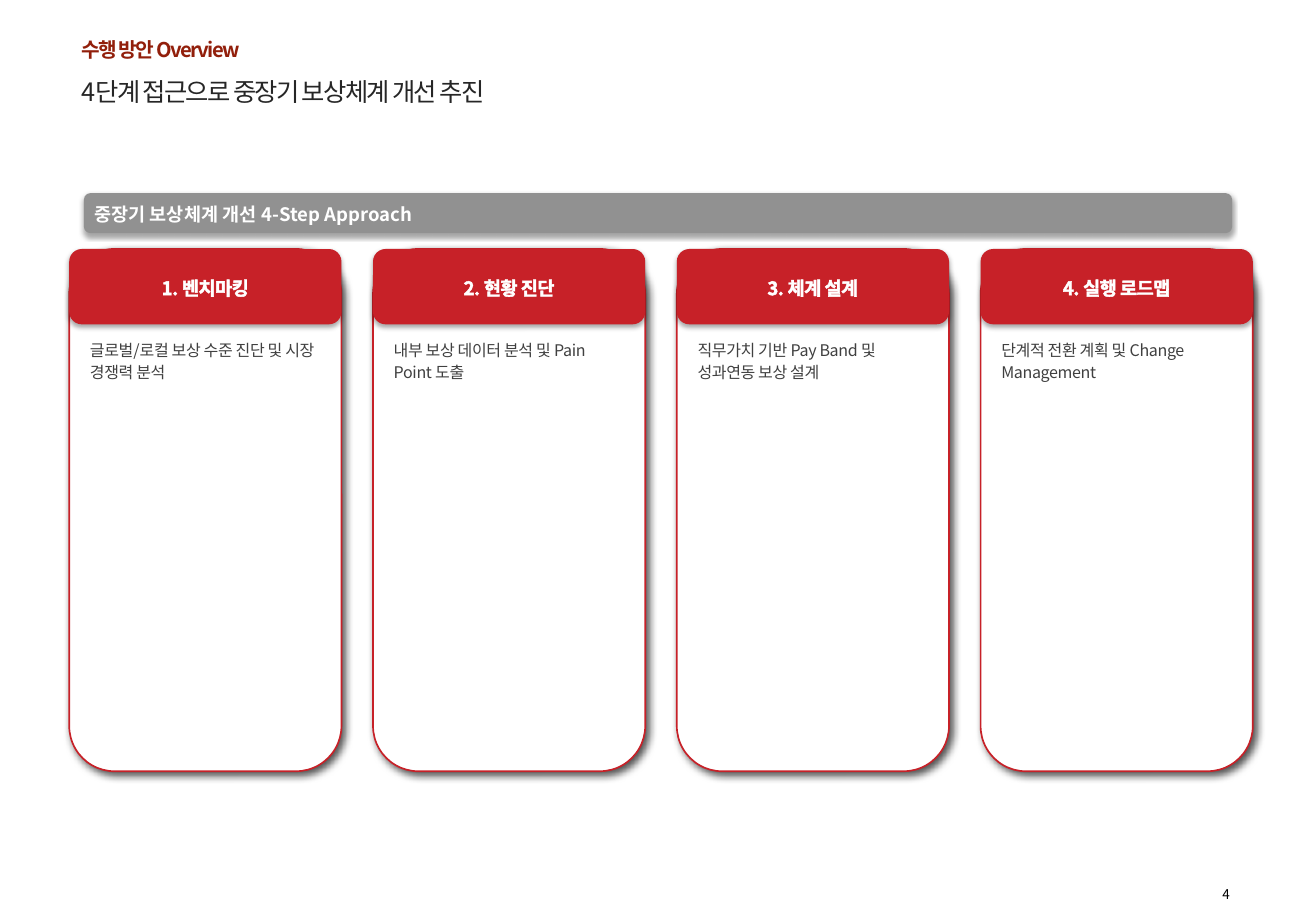
"""Build the four-step compensation overview slide."""
from dataclasses import dataclass

from lxml.etree import SubElement
from pptx import Presentation
from pptx.dml.color import RGBColor
from pptx.enum.shapes import MSO_SHAPE
from pptx.enum.text import MSO_ANCHOR, MSO_AUTO_SIZE, PP_ALIGN
from pptx.oxml.ns import qn
from pptx.util import Pt

PX = 9144


@dataclass(frozen=True)
class Theme:
    """Colours, type sizes and shadows of the slide."""
    font: str = "Noto Sans CJK KR"
    brick: str = "921F0B"
    red: str = "C72128"
    gray: str = "919191"
    white: str = "FFFFFF"
    black: str = "000000"
    ink: str = "262626"
    text: str = "404040"
    title: float = 12
    lead: float = 15
    head: float = 11
    body: float = 9.5
    page: float = 8
    soft: tuple = (35, 3.1, 1.8, 90)
    deep: tuple = (68, 5, 2.5, 45)


class Deck:
    """Style and current slide, with one method per kind of element."""

    def __init__(self, theme, width, height):
        self.t = theme
        self.prs = Presentation()
        self.prs.slide_width, self.prs.slide_height = width * PX, height * PX
        self.s = self.prs.slides.add_slide(self.prs.slide_layouts[1])

    def color(self, parent, tag, value, alpha=None):
        """Add a colour element of the given tag under parent."""
        clr = SubElement(parent, qn(tag), val=value)
        if alpha is not None:
            SubElement(clr, qn("a:alpha"), val=str(alpha * 1000))

    def set_text(self, sp, text, size, color, bold=False, spc=0, ls=1.0,
                 align=PP_ALIGN.LEFT, anchor=MSO_ANCHOR.TOP, inset=(10, 5, 10, 5),
                 wrap=True, outline=None):
        """Put one formatted paragraph into a shape."""
        tf = sp.text_frame
        left, top, right, bottom = (v * PX for v in inset)
        frame = {"margin_left": left, "margin_top": top, "margin_right": right,
                 "margin_bottom": bottom, "word_wrap": wrap,
                 "vertical_anchor": anchor, "auto_size": MSO_AUTO_SIZE.NONE}
        p = tf.paragraphs[0]
        r = p.add_run()
        r.text = text
        para = {"alignment": align, "line_spacing": ls, "space_before": Pt(0)}
        font = {"name": self.t.font, "size": Pt(size), "bold": bold}
        for obj, values in ((tf, frame), (p, para), (r.font, font)):
            for key, value in values.items():
                setattr(obj, key, value)
        r.font.color.rgb = RGBColor.from_string(color)
        rpr = r._r.get_or_add_rPr()
        rpr.set("spc", str(round(spc * 100)))
        SubElement(rpr, qn("a:ea"), typeface=self.t.font)
        if outline:
            ln = SubElement(rpr, qn("a:ln"), w=str(Pt(outline[1])))
            self.color(SubElement(ln, qn("a:solidFill")), "a:srgbClr", outline[0])
            rpr.insert(0, ln)
        return p

    def place(self, sp, x, y, w, h):
        """Move and size a shape in px."""
        for key, value in zip(("left", "top", "width", "height"), (x, y, w, h)):
            setattr(sp, key, value * PX)

    def placeholder(self, index, box, text, size, color, **fmt):
        """Fill a template placeholder without a bullet."""
        sp = self.s.placeholders[index]
        self.place(sp, *box)
        p = self.set_text(sp, text, size, color, **fmt)
        ppr = p._p.get_or_add_pPr()
        ppr.set("marL", "0")
        ppr.set("indent", "0")
        SubElement(ppr, qn("a:buNone"))

    def label(self, box, text, size, color, **fmt):
        """Add a text box."""
        sp = self.s.shapes.add_textbox(*(v * PX for v in box))
        self.set_text(sp, text, size, color, **fmt)

    def panel(self, box, fill, shadow, line=None):
        """Add a rounded rectangle with a shadow."""
        sp = self.s.shapes.add_shape(MSO_SHAPE.ROUNDED_RECTANGLE, *(v * PX for v in box))
        sp.fill.solid()
        sp.fill.fore_color.rgb = RGBColor.from_string(fill)
        if line:
            sp.line.color.rgb = RGBColor.from_string(line)
            sp.line.width = Pt(1)
        else:
            sp.line.fill.background()
        sp.shadow.inherit = False
        alpha, blur, dist, angle = shadow
        effects = sp._element.spPr.find(qn("a:effectLst"))
        outer = SubElement(effects, qn("a:outerShdw"), blurRad=str(Pt(blur)),
                           dist=str(Pt(dist)), dir=str(angle * 60000),
                           algn="ctr", rotWithShape="0")
        self.color(outer, "a:srgbClr", self.t.black, alpha)
        return sp

    def step(self, x, heading, detail):
        """Add one step column: card, header and description."""
        t = self.t
        self.panel((x, 205, 224, 430), t.white, t.deep, t.red)
        header = self.panel((x, 205, 224, 62), t.red, t.soft)
        self.set_text(header, heading, t.head, t.white, bold=True, spc=-0.3, ls=1.1,
                      align=PP_ALIGN.CENTER, anchor=MSO_ANCHOR.MIDDLE,
                      outline=(t.white, 0.5))
        self.label((x + 13, 275, 198, 347), detail, t.body, t.text, spc=-0.2,
                   ls=1.16, inset=(4, 3, 4, 3))


def main():
    """Compose and save the slide."""
    t = Theme()
    deck = Deck(t, 1083, 750)
    deck.placeholder(0, (57, 25, 973, 31), "수행 방안 Overview", t.title, t.brick,
                     bold=True, spc=-1, anchor=MSO_ANCHOR.BOTTOM)
    deck.placeholder(1, (57, 55, 973, 36), "4단계 접근으로 중장기 보상체계 개선 추진",
                     t.lead, t.ink, spc=-1, ls=1.12, outline=(t.black, 0.1))
    bar = deck.panel((69, 159, 945, 33), t.gray, t.soft)
    deck.set_text(bar, "중장기 보상체계 개선 4-Step Approach", t.head, t.white, bold=True,
                  ls=1.12, anchor=MSO_ANCHOR.MIDDLE, inset=(7, 2, 4, 2))
    steps = [
        ("벤치마킹", "글로벌/로컬 보상 수준 진단 및 시장 경쟁력 분석"),
        ("현황 진단", "내부 보상 데이터 분석 및 Pain Point 도출"),
        ("체계 설계", "직무가치 기반 Pay Band 및 성과연동 보상 설계"),
        ("실행 로드맵", "단계적 전환 계획 및 Change Management"),
    ]
    for i, (name, detail) in enumerate(steps):
        deck.step(57 + 250 * i, f"{i + 1}. {name}", detail)
    deck.label((989, 723, 33, 24), "4", t.page, t.black, spc=-0.3, ls=1.1,
               align=PP_ALIGN.RIGHT, wrap=False)
    deck.prs.save("out.pptx")


if __name__ == "__main__":
    main()
